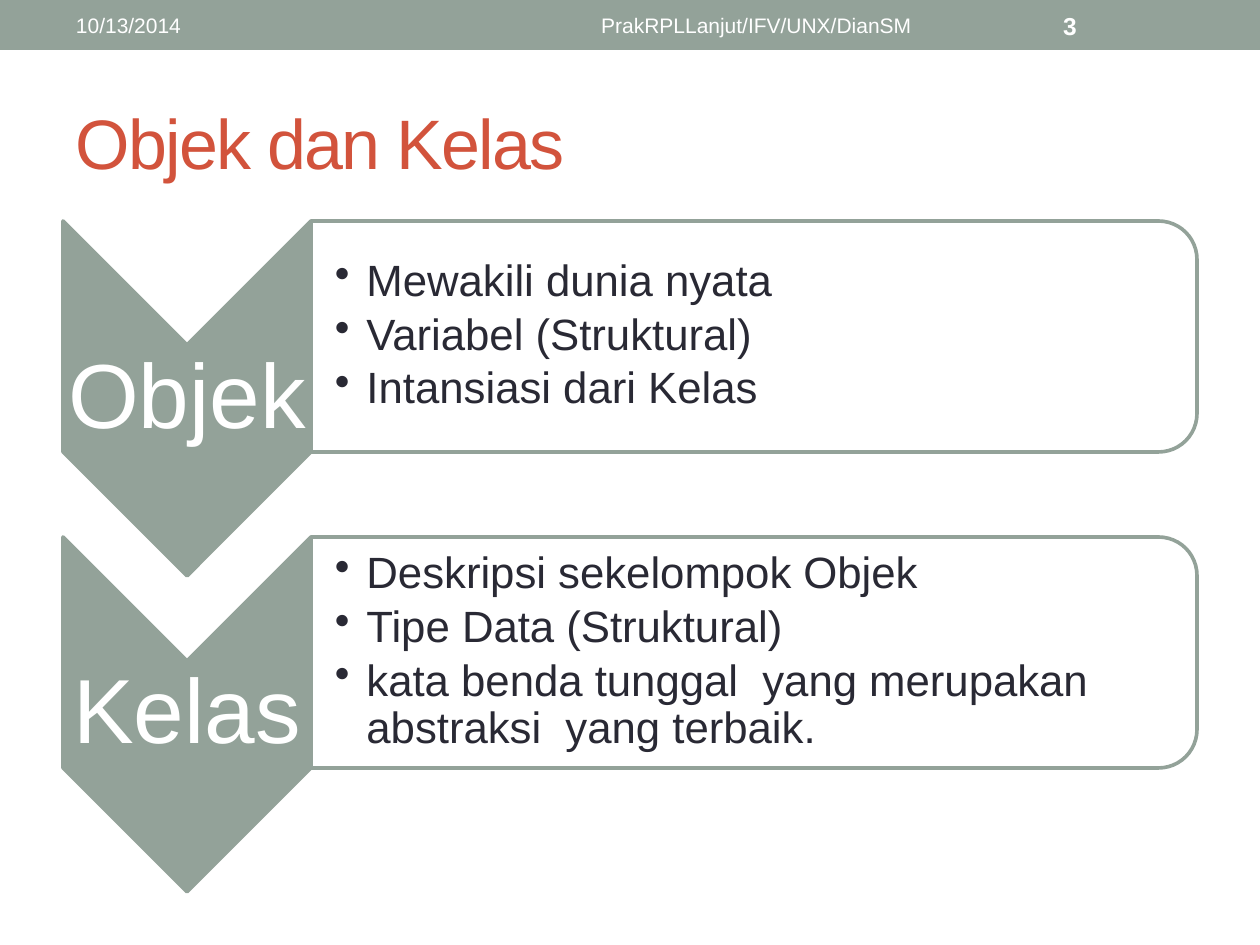
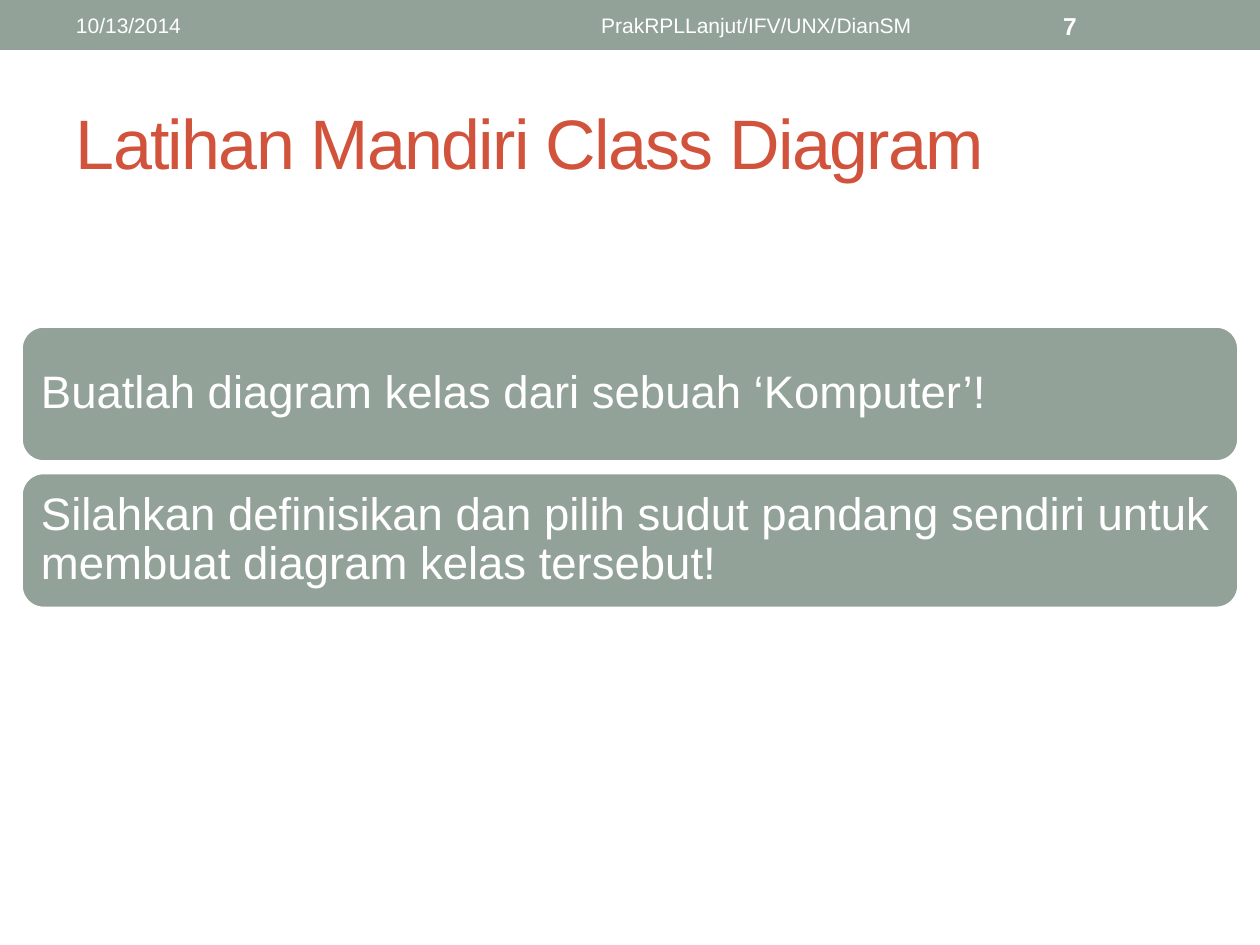
import pptx
import pptx.util
import pptx.dml.color
import pptx.enum.shapes
import pptx.enum.text
import pptx.oxml.ns
import lxml.etree

SCALE = 914400 / 126
SAGE = pptx.dml.color.RGBColor(0x93, 0xA2, 0x99)
RUST = pptx.dml.color.RGBColor(0xD2, 0x53, 0x3C)
INK = pptx.dml.color.RGBColor(0x29, 0x29, 0x34)
WHITE = pptx.dml.color.RGBColor(0xFF, 0xFF, 0xFF)
FONT = "Arial"
SHAPES = pptx.enum.shapes.MSO_SHAPE
LEFT = pptx.enum.text.PP_ALIGN.LEFT
CENTER = pptx.enum.text.PP_ALIGN.CENTER
DATE = "10/13/2014"
FOOTER = "PrakRPLLanjut/IFV/UNX/DianSM"


def px(length):
    """Turn pixels into EMU."""
    return pptx.util.Emu(round(length * SCALE))


def add_block(slide, kind, box, fill, line=None, turned=False):
    """Add a filled preset shape that covers box, optionally turned a quarter clockwise."""
    left, top, width, height = box
    if turned:
        left, top = left + (width - height) / 2, top + (height - width) / 2
        width, height = height, width
    shape = slide.shapes.add_shape(kind, px(left), px(top), px(width), px(height))
    shape.rotation = 90 if turned else 0
    shape.shadow.inherit = False
    shape.fill.solid()
    shape.fill.fore_color.rgb = fill
    if line is None:
        shape.line.fill.background()
    else:
        shape.line.color.rgb = line
        shape.line.width = pptx.util.Pt(2.08)
    return shape


def add_bullet(paragraph):
    """Give a paragraph a hanging round bullet."""
    properties = paragraph._p.get_or_add_pPr()
    properties.set("marL", str(px(31.5)))
    properties.set("indent", str(-px(31.5)))
    bullet = lxml.etree.SubElement(properties, pptx.oxml.ns.qn("a:buChar"))
    bullet.set("char", "\u2022")


def add_text(slide, box, lines, size, color=WHITE, align=LEFT, insets=(13, 6, 13, 6),
             bold=False, spacing=None, after=0, bullets=False):
    """Add a vertically centred text box with one paragraph for each line."""
    shape = slide.shapes.add_textbox(*map(px, box))
    frame = shape.text_frame
    frame.word_wrap = True
    frame.vertical_anchor = pptx.enum.text.MSO_ANCHOR.MIDDLE
    frame.margin_left, frame.margin_top, frame.margin_right, frame.margin_bottom = map(px, insets)
    frame.text = "\n".join(lines)
    for paragraph in frame.paragraphs:
        paragraph.alignment = align
        if spacing:
            paragraph.line_spacing = spacing
            paragraph.space_after = pptx.util.Pt(after)
        if bullets:
            add_bullet(paragraph)
        paragraph.font.name = FONT
        paragraph.font.size = pptx.util.Pt(size)
        paragraph.font.bold = bold
        paragraph.font.color.rgb = color
    return shape


def add_frame(presentation, title, number):
    """Add a slide with the top band, its three labels and the title."""
    slide = presentation.slides.add_slide(presentation.slide_layouts[6])
    add_block(slide, SHAPES.RECTANGLE, (0, 0, 1260, 50), SAGE)
    heading = add_text(slide, (63, 73, 1134, 136), [title], 40, RUST)
    heading.text_frame.paragraphs[0].runs[0]._r.get_or_add_rPr().set("spc", "-100")
    add_text(slide, (63, 3, 399, 45), [DATE], 12)
    add_text(slide, (473, 3, 567, 45), [FOOTER], 12, align=CENTER)
    add_text(slide, (1050, 3, 147, 45), [str(number)], 14, bold=True)
    return slide


def add_chevron_row(slide, box, label, points):
    """Add a downward chevron with its label and a rounded panel of bullet points."""
    left, top, width, height = box
    arrow_width, panel_height = 248, 231
    add_block(slide, SHAPES.CHEVRON, (left, top, arrow_width, height), SAGE, SAGE, turned=True)
    add_text(slide, (left, top + arrow_width / 2, arrow_width, height - arrow_width), [label], 52,
             align=CENTER, insets=(5, 5, 5, 5), spacing=0.9, after=18)
    panel_left, panel_width = left + arrow_width, width - arrow_width
    panel = add_block(slide, SHAPES.ROUND_2_SAME_RECTANGLE,
                      (panel_left, top, panel_width, panel_height), WHITE, SAGE, turned=True)
    color = panel.fill._xPr.find(".//" + pptx.oxml.ns.qn("a:srgbClr"))
    lxml.etree.SubElement(color, pptx.oxml.ns.qn("a:alpha")).set("val", "90000")
    add_text(slide, (panel_left, top + 11, panel_width - 12, panel_height - 23), points, 25, INK,
             insets=(24, 2, 2, 2), spacing=0.9, after=3.75, bullets=True)


def add_task_bar(slide, box, task):
    """Add a rounded bar with one task."""
    left, top, width, height = box
    add_block(slide, SHAPES.ROUNDED_RECTANGLE, box, SAGE, WHITE)
    add_text(slide, (left + 6, top + 6, width - 12, height - 12), [task], 26,
             insets=(14, 14, 14, 14), spacing=0.9, after=9)


def build_concepts(presentation):
    """Build the slide that sets objects against classes."""
    slide = add_frame(presentation, "Objek dan Kelas", 3)
    rows = [
        ("Objek", ["Mewakili dunia nyata", "Variabel (Struktural)", "Intansiasi dari Kelas"]),
        ("Kelas", ["Deskripsi sekelompok Objek", "Tipe Data (Struktural)",
                   "kata benda tunggal  yang merupakan  abstraksi  yang terbaik."]),
    ]
    for index, (label, points) in enumerate(rows):
        add_chevron_row(slide, (63, 221 + 316 * index, 1134, 355), label, points)


def build_exercise(presentation):
    """Build the slide with the exercise tasks."""
    slide = add_frame(presentation, "Latihan Mandiri Class Diagram", 7)
    tasks = [
        "Buatlah diagram kelas dari sebuah \u2018Komputer\u2019!",
        "Silahkan definisikan dan pilih sudut pandang sendiri untuk membuat diagram kelas tersebut!",
    ]
    for index, task in enumerate(tasks):
        add_task_bar(slide, (21, 326 + 146.5 * index, 1218, 136), task)


def main():
    """Build and save the presentation."""
    presentation = pptx.Presentation()
    presentation.slide_width = px(1260)
    presentation.slide_height = px(945)
    build_concepts(presentation)
    build_exercise(presentation)
    presentation.save("out.pptx")


main()
